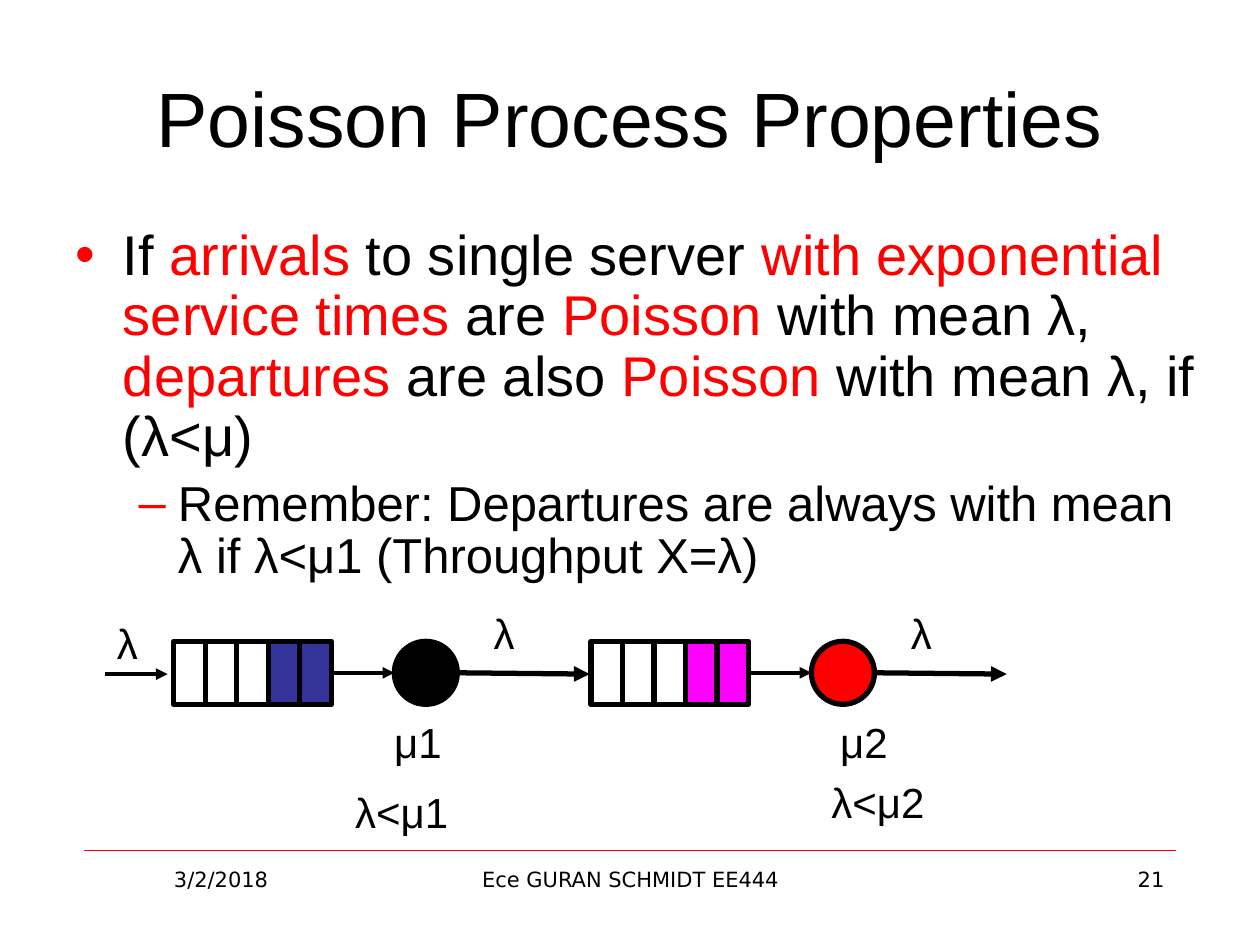
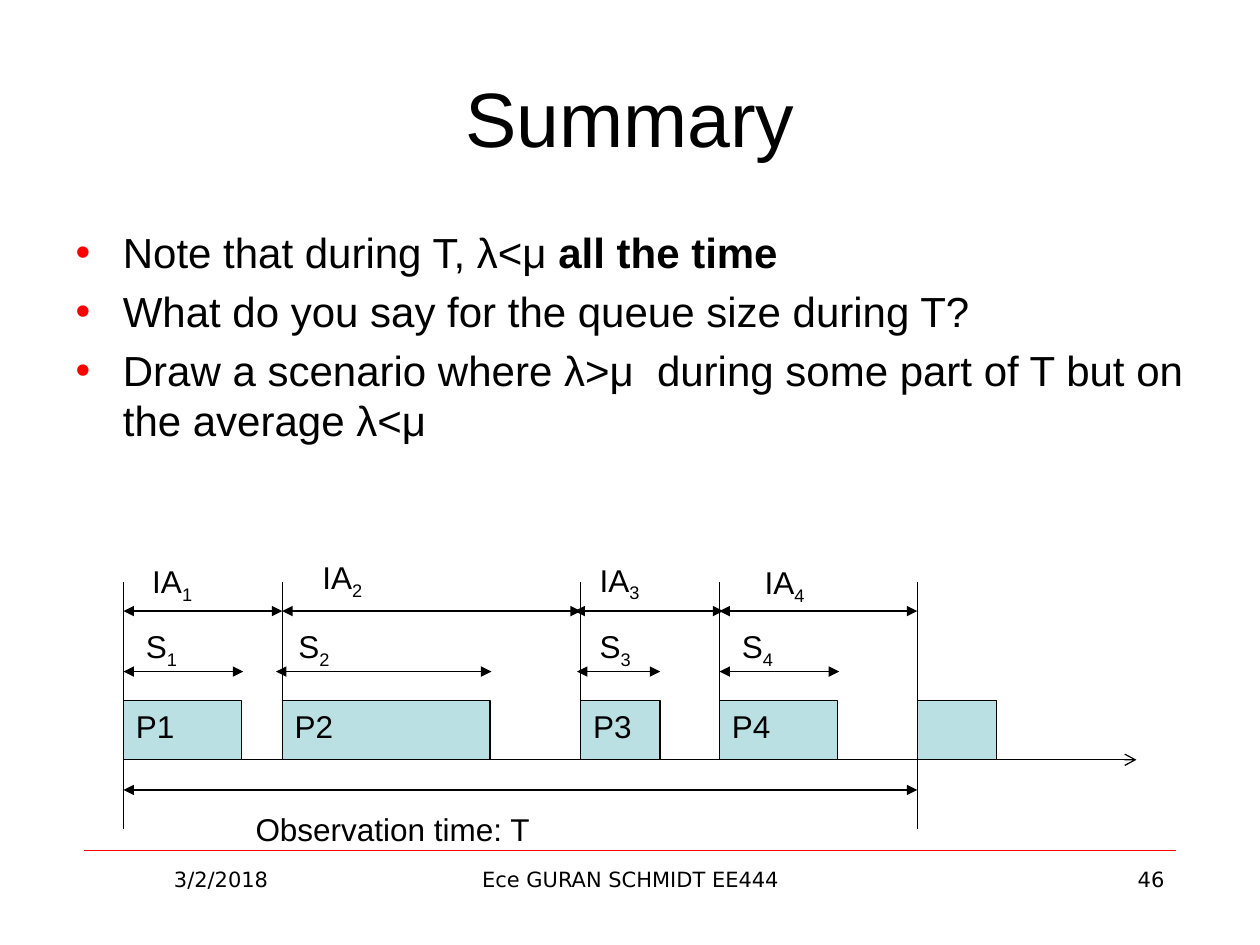
from lxml import etree
from pptx import Presentation
from pptx.dml.color import RGBColor
from pptx.enum.shapes import MSO_CONNECTOR, MSO_SHAPE
from pptx.enum.text import MSO_ANCHOR, MSO_AUTO_SIZE, PP_ALIGN
from pptx.oxml.ns import qn
from pptx.util import Inches, Pt

LINE = MSO_CONNECTOR.STRAIGHT
RECT, OVAL = MSO_SHAPE.RECTANGLE, MSO_SHAPE.OVAL
TOP, MIDDLE = MSO_ANCHOR.TOP, MSO_ANCHOR.MIDDLE
LEFT, CENTER, RIGHT = PP_ALIGN.LEFT, PP_ALIGN.CENTER, PP_ALIGN.RIGHT
FIXED = MSO_AUTO_SIZE.NONE

HUES = {"ink": "000000", "red": "FF0000", "navy": "333399",
        "pink": "FF00FF", "pale": "BBE0E3"}
FONT, FOOT = "Arial", "DejaVu Sans"


def rgb(hue):
    return RGBColor.from_string(HUES[hue])


def add_run(para, text, size, hue="ink", face=FONT, bold=None):
    run = para.add_run()
    run.text = text
    run.font.size = Pt(size)
    run.font.name = face
    run.font.bold = bold
    run.font.color.rgb = rgb(hue)
    return run


def place(shape, left, top, width, height):
    shape.left, shape.top = Inches(left), Inches(top)
    shape.width, shape.height = Inches(width), Inches(height)


def add_label(slide, text, box, size, sub="", face=FONT, align=LEFT, wrap=True):
    """Add a text box, with an optional subscript after the text."""
    frame = slide.shapes.add_textbox(*map(Inches, box)).text_frame
    frame.word_wrap = wrap
    para = frame.paragraphs[0]
    para.alignment = align
    add_run(para, text, size, face=face)
    if sub:
        low = add_run(para, sub, size, face=face)
        low._r.get_or_add_rPr().set("baseline", "-25000")


def add_line(slide, start, end, width=0.75, hue="ink", head=None, tail=None):
    line = slide.shapes.add_connector(LINE, *map(Inches, start + end))
    line.line.width = Pt(width)
    line.line.color.rgb = rgb(hue)
    props = line._element.spPr
    stroke = props.find(qn("a:ln"))
    for tag, kind in (("a:headEnd", head), ("a:tailEnd", tail)):
        if kind:
            etree.SubElement(stroke, qn(tag), type=kind)
    etree.SubElement(props, qn("a:effectLst"))


def add_span(slide, left, right, top):
    add_line(slide, (left, top), (right, top), head="triangle", tail="triangle")


def add_block(shapes, kind, box, fill=None, width=3):
    block = shapes.add_shape(kind, *map(Inches, box))
    block.shadow.inherit = False
    if fill:
        block.fill.solid()
        block.fill.fore_color.rgb = rgb(fill)
    else:
        block.fill.background()
    block.line.color.rgb = rgb("ink")
    block.line.width = Pt(width)
    return block


def add_page(deck, title, number):
    """Add a slide with its title, footer rule and footer texts."""
    slide = deck.slides.add_slide(deck.slide_layouts[1])
    head = slide.shapes.title
    place(head, 0.5, 0.3, 9, 1.25)
    head.text_frame.vertical_anchor = MIDDLE
    head.text_frame.auto_size = FIXED
    para = head.text_frame.paragraphs[0]
    para.alignment = CENTER
    add_run(para, title, 44)
    add_line(slide, (0.67, 6.75), (9.33, 6.75), 0.25, "red")
    for text, left, width, align in (
            ("3/2/2018", 0.67, 2.17, CENTER),
            ("Ece GURAN SCHMIDT EE444", 3.42, 3.17, CENTER),
            (number, 7.17, 2.17, RIGHT)):
        add_label(slide, text, (left, 6.83, width, 0.52), 12,
                  face=FOOT, align=align)
    return slide


def fill_list(slide, box, items, spacing=None):
    """Fill the body with (level, size, runs); a run is (text, hue, bold)."""
    body = slide.placeholders[1]
    place(body, *box)
    frame = body.text_frame
    frame.auto_size = FIXED
    for i, (level, size, runs) in enumerate(items):
        para = frame.add_paragraph() if i else frame.paragraphs[0]
        para.level = level
        if spacing:
            para.line_spacing = spacing
        mark = etree.SubElement(para._p.get_or_add_pPr(), qn("a:buClr"))
        etree.SubElement(mark, qn("a:srgbClr"), val=HUES["red"])
        for text, hue, bold in runs:
            add_run(para, text, size, hue, bold=bold)


def add_queue(slide, left, fill, server):
    """Draw five cells, a server and the arrows that leave each."""
    cell, top, mid = 0.25, 5.09, 5.34
    group = slide.shapes.add_group_shape()
    for i in range(5):
        add_block(group.shapes, RECT, (left + i * cell, top, cell, 0.5),
                  fill if i > 2 else None)
    add_block(slide.shapes, OVAL, (left + 1.75, top, 0.5, 0.5), server)
    add_line(slide, (left + 2.27, mid), (left + 3.3, mid + 0.01), 3,
             tail="triangle")
    add_line(slide, (left + 1.25, mid), (left + 1.75, mid), 2.25,
             tail="triangle")
    add_label(slide, "λ", (left + 2.44, 4.77, 0.35, 0.5), 24)


def draw_tandem(deck):
    slide = add_page(deck, "Poisson Process Properties", "21")
    parts = ("If ", "arrivals", " to single server ",
             "with exponential service times ", "are ", "Poisson ",
             "with mean λ, ", "departures ", "are also ", "Poisson ",
             "with mean λ, if (λ<μ)")
    runs = [(text, "red" if i % 2 else "ink", None)
            for i, text in enumerate(parts)]
    note = ("Remember: Departures are always with mean λ if λ<μ1 "
            "(Throughput X=λ)")
    fill_list(slide, (0.5, 1.75, 9.15, 2.87),
              [(0, 32, runs), (1, 28, [(note, "ink", None)])], 0.9)
    add_line(slide, (0.83, 5.35), (1.33, 5.35), 2.25, tail="triangle")
    add_queue(slide, 1.38, "navy", "ink")
    add_queue(slide, 4.69, "pink", "red")
    for text, left, top, width in (
            ("λ", 0.83, 4.85, 0.35),
            ("μ1", 3.03, 5.64, 0.71), ("μ2", 6.57, 5.64, 0.63),
            ("λ<μ1", 2.72, 6.19, 1.02), ("λ<μ2", 6.5, 6.11, 1.02)):
        add_label(slide, text, (left, top, width, 0.5), 24)


def add_packet(slide, left, width, name=""):
    block = add_block(slide.shapes, RECT, (left, 5.56, width, 0.47),
                      "pale", 0.75)
    if name:
        frame = block.text_frame
        frame.vertical_anchor = TOP
        para = frame.paragraphs[0]
        para.alignment = LEFT
        add_run(para, name, 18)


def draw_summary(deck):
    slide = add_page(deck, "Summary", "46")
    fill_list(slide, (0.5, 1.75, 9, 2.08), [
        (0, 24, [("Note that during T, λ<μ ", "ink", None),
                 ("all the time", "ink", True)]),
        (0, 24, [("What do you say for the queue size during T?",
                  "ink", None)]),
        (0, 24, [("Draw a scenario where λ>μ  during some part of T "
                  "but on the average λ<μ", "ink", None)])])
    starts = (0.98, 2.24, 4.61, 5.71, 7.28)
    widths = (0.94, 1.65, 0.63, 0.94, 0.63)
    base = 6.03
    add_line(slide, (starts[0], base), (9.02, base), tail="arrow")
    for i, (left, width) in enumerate(zip(starts, widths)):
        last = i == len(starts) - 1
        add_packet(slide, left, width, "" if last else f"P{i + 1}")
        foot = 6.58 if last or i == 0 else base
        add_line(slide, (left, 4.62), (left, foot))
    add_span(slide, starts[0], starts[-1], 6.27)
    add_label(slide, "Observation time: T", (1.93, 6.38, 2.4, 0.4), 18,
              wrap=False)

    # Gap span, gap label (left, top), service span, service label left
    spans = (((0.98, 2.24), (1.11, 4.41), (0.98, 1.93), 1.06),
             ((2.24, 4.61), (2.46, 4.38), (2.19, 3.9), 2.27),
             ((4.56, 5.74), (4.66, 4.4), (4.58, 5.24), 4.66),
             ((5.71, 7.28), (5.97, 4.42), (5.71, 6.66), 5.79))
    for i, (gap, spot, serve, left) in enumerate(spans, 1):
        add_span(slide, *gap, 4.85)
        add_span(slide, *serve, 5.33)
        add_label(slide, "IA", (*spot, 0.69, 0.4), 18, str(i))
        add_label(slide, "S", (left, 4.93, 0.69, 0.4), 18, str(i))


def main():
    deck = Presentation()
    deck.slide_width, deck.slide_height = Inches(10), Inches(7.5)
    draw_tandem(deck)
    draw_summary(deck)
    deck.save("out.pptx")


if __name__ == "__main__":
    main()
